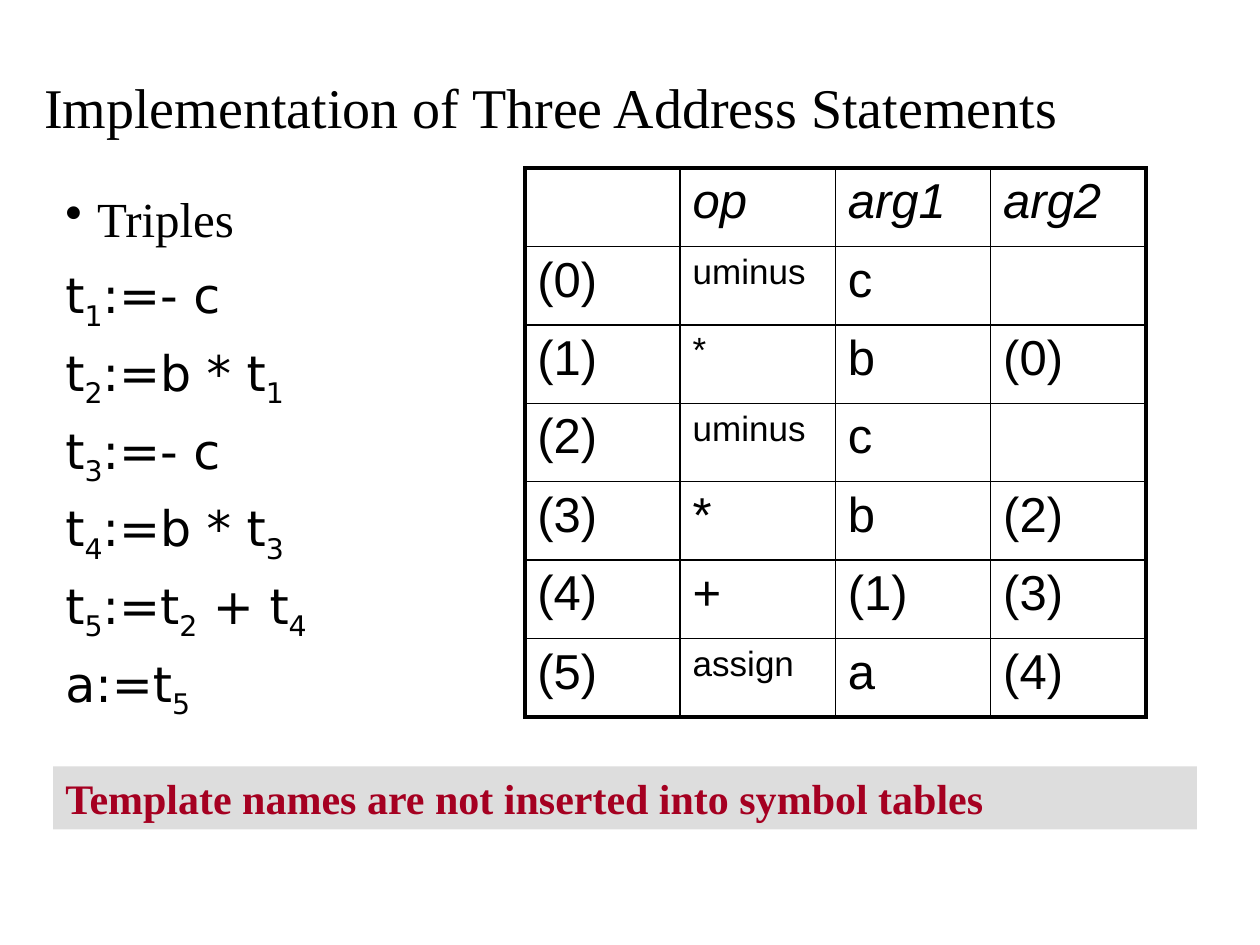
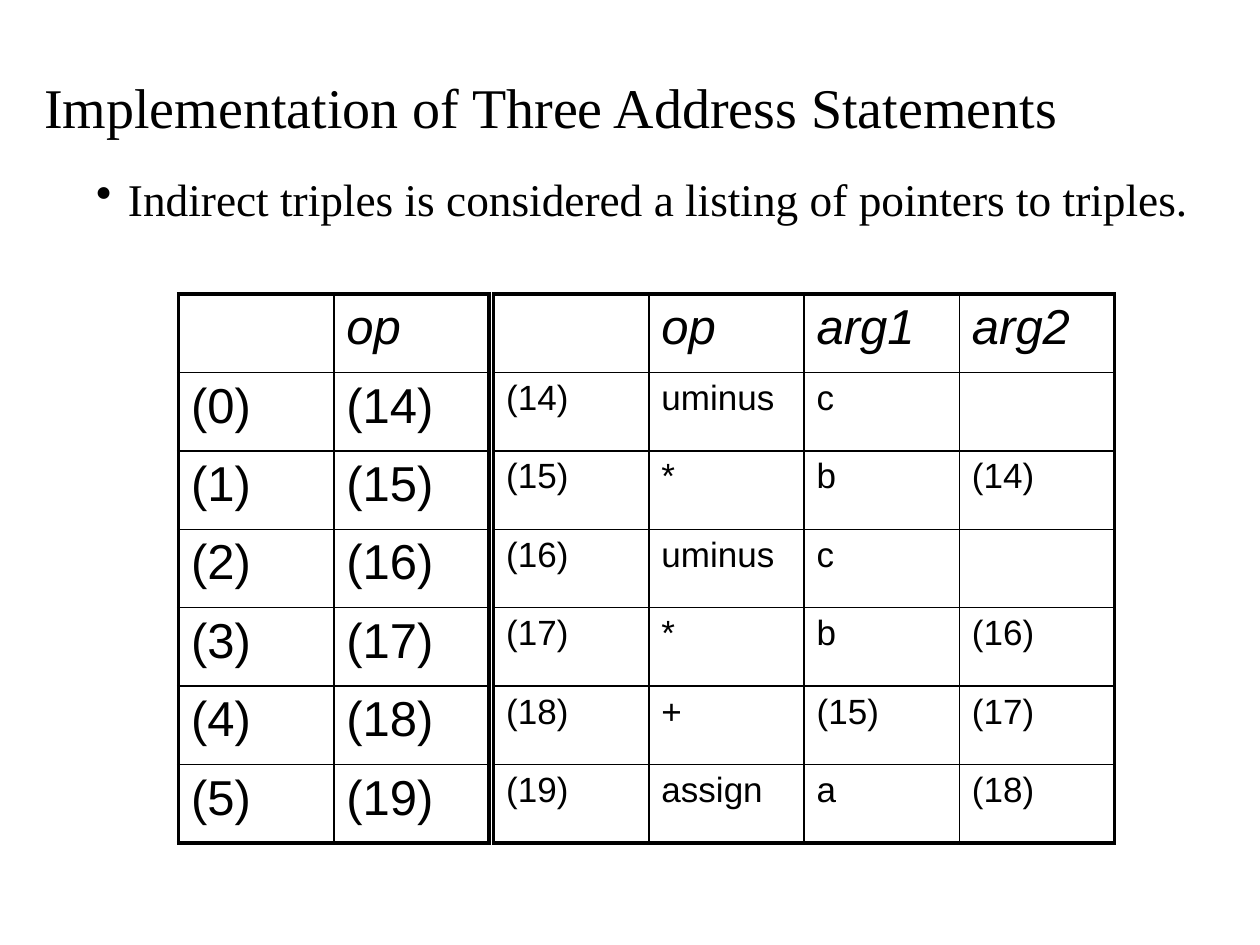
from dataclasses import dataclass

from lxml.etree import SubElement
from pptx import Presentation
from pptx.dml.color import RGBColor
from pptx.enum.shapes import MSO_SHAPE
from pptx.enum.text import MSO_ANCHOR, PP_ALIGN
from pptx.oxml.ns import qn
from pptx.util import Cm, Pt


@dataclass(frozen=True)
class Theme:
    ink: RGBColor = RGBColor(0x00, 0x00, 0x00)
    accent: RGBColor = RGBColor(0xA5, 0x00, 0x21)
    band: RGBColor = RGBColor(0xDD, 0xDD, 0xDD)
    serif: str = "Times New Roman"
    sans: str = "Arial"
    code: str = "DejaVu Sans"
    title_size: float = 32
    body_size: float = 28
    tight_body_size: float = 25.9
    note_size: float = 24
    small_size: float = 20
    frame_width: float = 2.25
    grid_width: float = 1


TITLE = "Implementation of Three Address Statements"
STATEMENTS = ["t_1:=- c", "t_2:=b * t_1", "t_3:=- c", "t_4:=b * t_3",
              "t_5:=t_2 + t_4", "a:=t_5"]
OPERATIONS = [("uminus", "c", None), ("*", "b", 0), ("uminus", "c", None),
              ("*", "b", 2), ("+", 1, 3), ("assign", "a", 4)]
HEADER = ["", "op", "arg1", "arg2"]
FIRST_POINTER = 14
COLUMN_WIDTH = 3.13
ROW_HEIGHT = 1.58


def triple_rows(first=0):
    """List the triples, numbering them and their references from first."""
    def label(operand):
        if operand is None:
            return ""
        return f"({operand + first})" if isinstance(operand, int) else operand

    return [[label(number), *map(label, operation)]
            for number, operation in enumerate(OPERATIONS)]


class Deck:
    def __init__(self, theme):
        self.theme = theme
        self.presentation = Presentation()
        self.presentation.slide_width = Cm(25.4)
        self.presentation.slide_height = Cm(19.05)
        self.slide = None

    def add_slide(self, title):
        blank = self.presentation.slide_layouts[6]
        self.slide = self.presentation.slides.add_slide(blank)
        frame = self.text_frame(0.64, 1.27, 24.33, 1.9)
        frame.vertical_anchor = MSO_ANCHOR.MIDDLE
        heading = frame.paragraphs[0]
        heading.text = title
        heading.line_spacing = 0.9
        self.style(heading, self.theme.serif, self.theme.title_size)

    def text_frame(self, left, top, width, height):
        box = self.slide.shapes.add_textbox(Cm(left), Cm(top), Cm(width), Cm(height))
        box.text_frame.word_wrap = True
        return box.text_frame

    def style(self, paragraph, face, size, color=None, **emphasis):
        font = paragraph.font
        font.name, font.size = face, Pt(size)
        font.color.rgb = color or self.theme.ink
        for name, value in emphasis.items():
            setattr(font, name, value)

    def body(self, left, top, height, bullet, size, statements=()):
        """Add a bulleted line followed by code statements."""
        frame = self.text_frame(left, top, 22.86, height)
        for index, line in enumerate([bullet, *statements]):
            paragraph = frame.add_paragraph() if index else frame.paragraphs[0]
            paragraph.line_spacing = 0.9
            if index:
                paragraph.space_before = Pt(10)
            properties = paragraph._p.get_or_add_pPr()
            properties.set("marL", str(Cm(0.64)))
            properties.set("indent", str(-Cm(0.64)))
            if index == 0:
                SubElement(properties, qn("a:buChar"), char="•")
            self.style(paragraph, self.theme.code if index else self.theme.serif, size)
            self.subscripted(paragraph, line)

    @staticmethod
    def subscripted(paragraph, line):
        """Write line, lowering each digit that follows an underscore."""
        start, *parts = line.split("_")
        paragraph.add_run().text = start
        for part in parts:
            digit = paragraph.add_run()
            digit.text = part[0]
            digit._r.get_or_add_rPr().set("baseline", "-25000")
            if part[1:]:
                paragraph.add_run().text = part[1:]

    def table(self, left, top, rows, small_cells=()):
        """Add a framed grid; the first row is in italics."""
        row_count, column_count = len(rows), len(rows[0])
        grid = self.slide.shapes.add_table(
            row_count, column_count, Cm(left), Cm(top),
            Cm(COLUMN_WIDTH * column_count), Cm(ROW_HEIGHT * row_count)).table
        grid.first_row = grid.horz_banding = False
        for column in grid.columns:
            column.width = Cm(COLUMN_WIDTH)
        for r, row in enumerate(rows):
            grid.rows[r].height = Cm(ROW_HEIGHT)
            for c, text in enumerate(row):
                cell = grid.cell(r, c)
                self.borders(cell, L=c == 0, R=c == column_count - 1,
                             T=r == 0, B=r == row_count - 1)
                cell.fill.background()
                paragraph = cell.text_frame.paragraphs[0]
                paragraph.text = text
                small = (r, c) in small_cells
                size = self.theme.small_size if small else self.theme.body_size
                self.style(paragraph, self.theme.sans, size, italic=r == 0)

    def borders(self, cell, **outer_sides):
        """Draw each side, thick where it is part of the outer frame."""
        properties = cell._tc.get_or_add_tcPr()
        for side, outer in outer_sides.items():
            width = self.theme.frame_width if outer else self.theme.grid_width
            line = SubElement(properties, qn(f"a:ln{side}"), w=str(Pt(width)))
            fill = SubElement(line, qn("a:solidFill"))
            SubElement(fill, qn("a:srgbClr"), val=str(self.theme.ink))

    def note(self, text):
        band = self.slide.shapes.add_shape(
            MSO_SHAPE.RECTANGLE, Cm(1.07), Cm(15.45), Cm(23.06), Cm(1.27))
        band.shadow.inherit = False
        band.fill.solid()
        band.fill.fore_color.rgb = self.theme.band
        band.line.fill.background()
        band.text_frame.vertical_anchor = MSO_ANCHOR.TOP
        paragraph = band.text_frame.paragraphs[0]
        paragraph.text = text
        paragraph.alignment = PP_ALIGN.LEFT
        self.style(paragraph, self.theme.serif, self.theme.note_size,
                   self.theme.accent, bold=True)


def add_triples(deck):
    deck.add_slide(TITLE)
    deck.body(1.07, 3.81, 10.8, "Triples", deck.theme.body_size, STATEMENTS)
    small_operators = {(row, 1) for row in (1, 2, 3, 6)}
    deck.table(10.58, 3.39, [HEADER, *triple_rows()], small_operators)
    deck.note("Template names are not inserted into symbol tables")


def add_indirect_triples(deck):
    deck.add_slide(TITLE)
    deck.body(1.69, 3.45, 2.12,
              "Indirect triples is considered a listing of pointers to triples.",
              deck.theme.tight_body_size)
    triples = triple_rows(FIRST_POINTER)
    all_entries = {(row, column) for row in range(1, len(triples) + 1)
                   for column in range(len(HEADER))}
    deck.table(9.95, 5.93, [HEADER, *triples], all_entries)
    pointers = [[f"({number})", triple[0]] for number, triple in enumerate(triples)]
    deck.table(3.6, 5.93, [HEADER[:2], *pointers])


def main():
    deck = Deck(Theme())
    add_triples(deck)
    add_indirect_triples(deck)
    deck.presentation.save("out.pptx")


if __name__ == "__main__":
    main()
